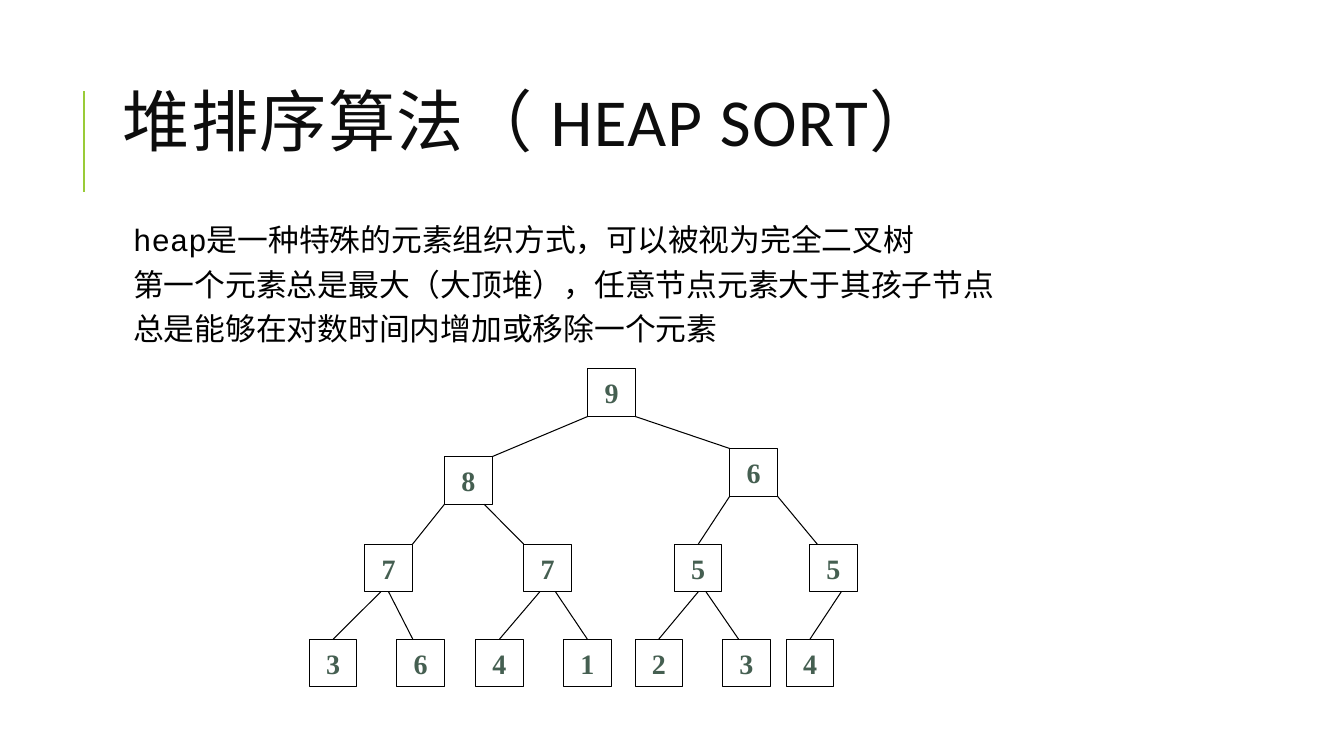
"""Build a slide that shows heap sort with a max-heap drawn as a tree."""
from lxml.etree import SubElement as Sub
from pptx import Presentation
from pptx.dml.color import RGBColor as RGB
from pptx.enum.shapes import MSO_CONNECTOR as Conn, MSO_SHAPE as Shape
from pptx.enum.text import MSO_ANCHOR as Anchor, PP_ALIGN as Align
from pptx.oxml.ns import qn
from pptx.util import Pt

BLACK = RGB(0, 0, 0)
WHITE = RGB(255, 255, 255)
INK = RGB(0x0D, 0x0D, 0x0D)
GREEN = RGB(0x99, 0xCB, 0x38)
TEAL = RGB(0x45, 0x5F, 0x51)

SIDE = 34
TITLE = "堆排序算法（ HEAP SORT）"
POINTS = [
    "heap是一种特殊的元素组织方式，可以被视为完全二叉树",
    "第一个元素总是最大（大顶堆），任意节点元素大于其孩子节点",
    "总是能够在对数时间内增加或移除一个元素",
]
NODES = [
    (9, 419.8, 263.5), (8, 317.5, 326.2), (6, 521.3, 320.4),
    (7, 260.6, 388.8), (7, 374.2, 388.8), (5, 481.7, 388.8), (5, 578.2, 388.8),
    (3, 221, 456.5), (6, 283.5, 456.5), (4, 339.8, 456.5), (1, 402.5, 456.5),
    (2, 453.6, 456.5), (3, 516.2, 456.5), (4, 561.6, 456.5),
]
# Sixths of a side: where each edge leaves its parent and meets its child.
ENDS = [
    (0, 6), (6, 0), (0, 6), (5, 0), (0, 3), (6, 1), (2, 3),
    (3, 2), (2, 3), (4, 3), (3, 3), (4, 2), (4, 3),
]


def write(frame, lines, font, size, color, bold=False, align=Align.LEFT,
          anchor=Anchor.TOP, inset=(0, 0), wrap=True, lead=None, track=None, mark=None):
    """Fill a text frame with one paragraph a line."""
    frame.word_wrap = wrap
    frame.vertical_anchor = anchor
    frame.margin_left = frame.margin_right = Pt(inset[0])
    frame.margin_top = frame.margin_bottom = Pt(inset[1])
    for i, line in enumerate(lines):
        para = frame.add_paragraph() if i else frame.paragraphs[0]
        if mark:
            props = para._p.get_or_add_pPr()
            props.set("marL", str(Pt(7.2)))
            props.set("indent", str(-Pt(7.2)))
            Sub(Sub(props, qn("a:buClr")), qn("a:srgbClr"), val=str(mark))
            Sub(props, qn("a:buChar"), char=" ")
        para.alignment = align
        if lead:
            para.line_spacing = lead
        run = para.add_run()
        run.text = line
        run.font.name, run.font.size, run.font.bold = font, Pt(size), bold
        run.font.color.rgb = color
        if track:
            run._r.get_or_add_rPr().set("spc", str(track))


class Deck:
    """Hold the style and the current slide."""

    def __init__(self):
        """Start a wide deck with one blank slide."""
        self.deck = Presentation()
        self.deck.slide_width, self.deck.slide_height = Pt(960), Pt(540)
        self.slide = self.deck.slides.add_slide(self.deck.slide_layouts[6])
        self.shapes = self.slide.shapes

    def text(self, x, y, w, h, lines, **form):
        """Add a text box."""
        box = self.shapes.add_textbox(Pt(x), Pt(y), Pt(w), Pt(h))
        write(box.text_frame, lines, **form)

    def node(self, value, x, y):
        """Add a square heap node."""
        box = self.shapes.add_shape(Shape.RECTANGLE, Pt(x), Pt(y), Pt(SIDE), Pt(SIDE))
        box.shadow.inherit = False
        box.fill.solid()
        box.fill.fore_color.rgb = WHITE
        box.line.color.rgb = BLACK
        box.line.width = Pt(0.75)
        write(box.text_frame, [str(value)], font="Times New Roman", size=20, color=TEAL,
              bold=True, align=Align.CENTER, anchor=Anchor.MIDDLE, wrap=False)
        return box

    def line(self, x1, y1, x2, y2, color=BLACK, width=0.75):
        """Add a straight line."""
        line = self.shapes.add_connector(Conn.STRAIGHT, Pt(x1), Pt(y1), Pt(x2), Pt(y2))
        line.line.color.rgb = color
        line.line.width = Pt(width)
        Sub(line._element.spPr, qn("a:effectLst"))
        return line

    def tree(self):
        """Add all nodes, then the edge from each parent to its child."""
        boxes = [self.node(*node) for node in NODES]
        for kid, (out, into) in enumerate(ENDS, 1):
            top = (kid - 1) // 2
            _, x1, y1 = NODES[top]
            _, x2, y2 = NODES[kid]
            edge = self.line(x1 + SIDE * out / 6, y1 + SIDE, x2 + SIDE * into / 6, y2)
            if out == 3:
                edge.begin_connect(boxes[top], 2)
            if into == 3:
                edge.end_connect(boxes[kid], 0)


def main():
    """Draw the slide and save it."""
    deck = Deck()
    deck.line(60, 136.8, 60, 64.8, GREEN, 1.5)
    deck.text(80.6, 46, 765.4, 90, [TITLE], font="Calibri", size=48, color=INK,
              anchor=Anchor.MIDDLE, inset=(7.2, 3.6), lead=0.8, track=100)
    deck.text(80.6, 149, 819.4, 347.8, POINTS, font="Courier New", size=22,
              color=BLACK, inset=(3.6, 3.6), lead=1.2, mark=GREEN)
    deck.tree()
    deck.deck.save("out.pptx")


if __name__ == "__main__":
    main()
